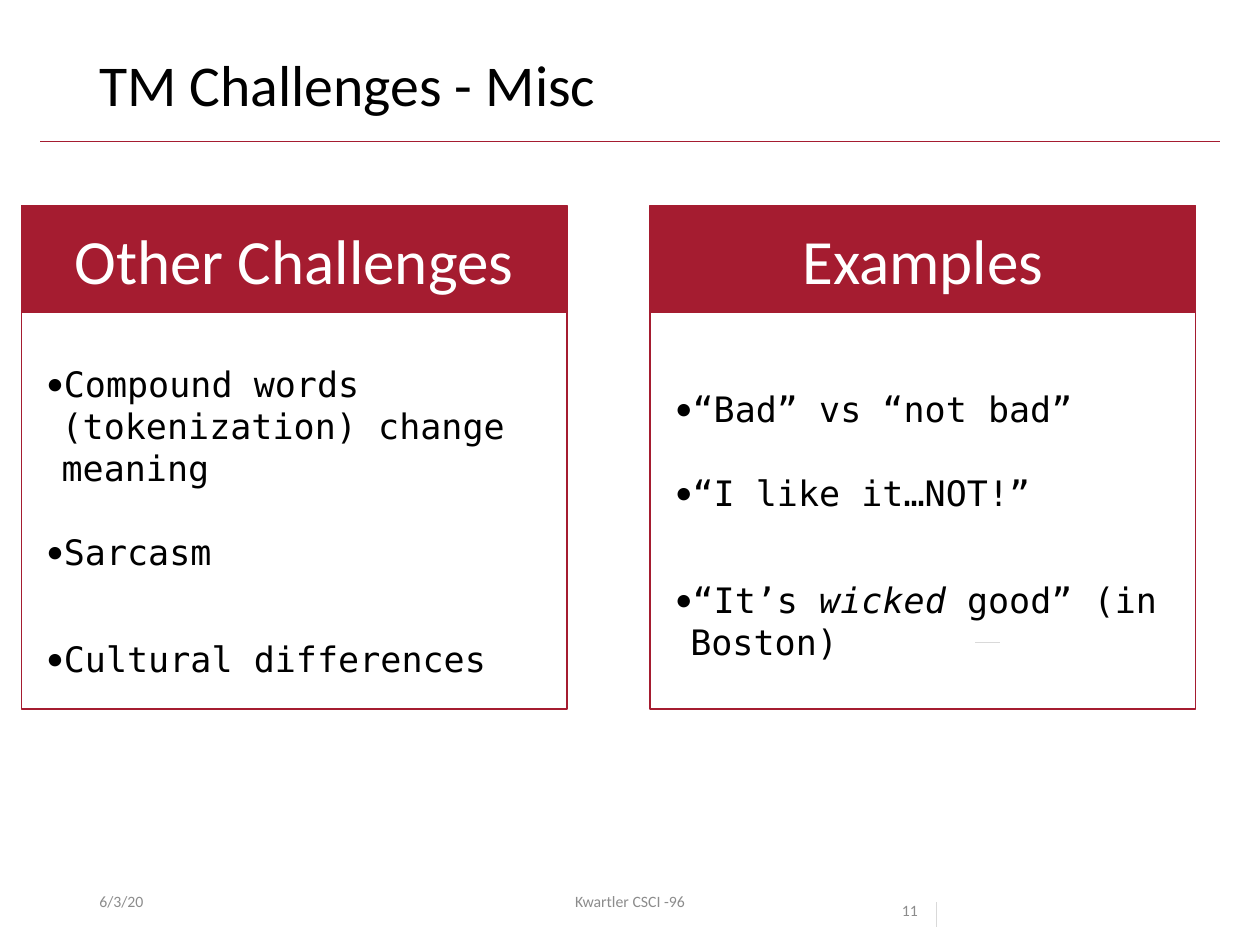
import pptx
import pptx.util
import pptx.dml.color
import pptx.enum.shapes
import pptx.enum.text
import pptx.oxml.ns
from lxml import etree

Inches = pptx.util.Inches
Pt = pptx.util.Pt
qn = pptx.oxml.ns.qn
ALIGN = pptx.enum.text.PP_ALIGN
ANCHOR = pptx.enum.text.MSO_ANCHOR
RECT = pptx.enum.shapes.MSO_SHAPE.RECTANGLE

HUES = {"red": "A51C30", "black": "000000", "white": "FFFFFF",
        "gray": "8C8C8C", "pale": "D9D9D9"}


def hue(name):
    return pptx.dml.color.RGBColor.from_string(HUES[name])


def write(box, *lines, size, color="black", font="Calibri", align=ALIGN.LEFT,
          anchor=ANCHOR.TOP, pitch=None, gaps=None, bullet=False):
    """Fill a shape with paragraphs; text between asterisks is italic."""
    frame = box.text_frame
    frame.word_wrap = True
    frame.vertical_anchor = anchor
    for i, line in enumerate(lines):
        para = frame.paragraphs[0] if i == 0 else frame.add_paragraph()
        para.alignment = align
        if pitch:
            para.line_spacing = pitch
        if gaps and i:
            para.space_before = Pt(gaps[i - 1])
        if bullet:
            props = para._p.get_or_add_pPr()
            props.set("marL", str(Inches(0.12)))
            props.set("indent", str(Inches(-0.12)))
            face = etree.SubElement(props, qn("a:buFont"))
            face.set("typeface", "Calibri")
            etree.SubElement(props, qn("a:buChar")).set("char", "•")
        for j, part in enumerate(line.split("*")):
            run = para.add_run()
            run.text = part
            run.font.size = Pt(size)
            run.font.name = font
            run.font.color.rgb = hue(color)
            if j % 2:
                run.font.italic = True


deck = pptx.Presentation()
deck.slide_width, deck.slide_height = Inches(10), Inches(7.5)
slide = deck.slides.add_slide(deck.slide_layouts[6])
shapes = slide.shapes

# Title rule and two short marks
for x1, y1, x2, y2, color in [(0.32, 1.12, 9.68, 1.12, "red"),
                              (7.43, 7.16, 7.43, 7.36, "pale"),
                              (7.74, 5.1, 7.94, 5.1, "pale")]:
    rule = shapes.add_connector(pptx.enum.shapes.MSO_CONNECTOR.STRAIGHT,
                                Inches(x1), Inches(y1), Inches(x2), Inches(y2))
    rule.line.color.rgb = hue(color)
    rule.line.width = Pt(0.5)
    etree.SubElement(rule._element.spPr, qn("a:effectLst"))

# Title
title = shapes.add_textbox(Inches(0.69), Inches(0.4), Inches(8.62), Inches(0.65))
write(title, "TM Challenges - Misc", size=33, pitch=0.9)

# Footer: date, course, page number
for text, left, width, look in [
        ("6/3/20", 0.69, 2.25, {"anchor": ANCHOR.MIDDLE}),
        ("Kwartler CSCI -96", 3.31, 3.38,
         {"anchor": ANCHOR.MIDDLE, "align": ALIGN.CENTER}),
        ("11", 7.06, 0.94, {"pitch": 2.0})]:
    foot = shapes.add_textbox(Inches(left), Inches(6.95), Inches(width), Inches(0.4))
    write(foot, text, size=9, color="gray", **look)

# Two panels: frame, header band, bullet list
panels = [
    (0.17, "Other Challenges", 2.83, 2.31,
     ["Compound words (tokenization) change meaning", "Sarcasm",
      "Cultural differences"]),
    (5.16, "Examples", 3.03, 1.97,
     ["“Bad” vs “not bad”", "“I like it…NOT!”",
      "“It’s *wicked* good” (in Boston)"]),
]
for left, head, top, height, items in panels:
    frame = shapes.add_shape(RECT, Inches(left), Inches(1.78), Inches(4.33), Inches(3.85))
    frame.fill.background()
    band = shapes.add_shape(RECT, Inches(left), Inches(1.63), Inches(4.33), Inches(0.85))
    band.fill.solid()
    band.fill.fore_color.rgb = hue("red")
    for part in (frame, band):
        part.shadow.inherit = False
        part.line.color.rgb = hue("red")
        part.line.width = Pt(1)
    write(band, head, size=36, color="white", align=ALIGN.CENTER, anchor=ANCHOR.MIDDLE)
    body = shapes.add_textbox(Inches(left + 0.1), Inches(top), Inches(4.15), Inches(height))
    write(body, *items, size=20, font="DejaVu Sans Mono", gaps=[24, 37], bullet=True)

deck.save("out.pptx")
